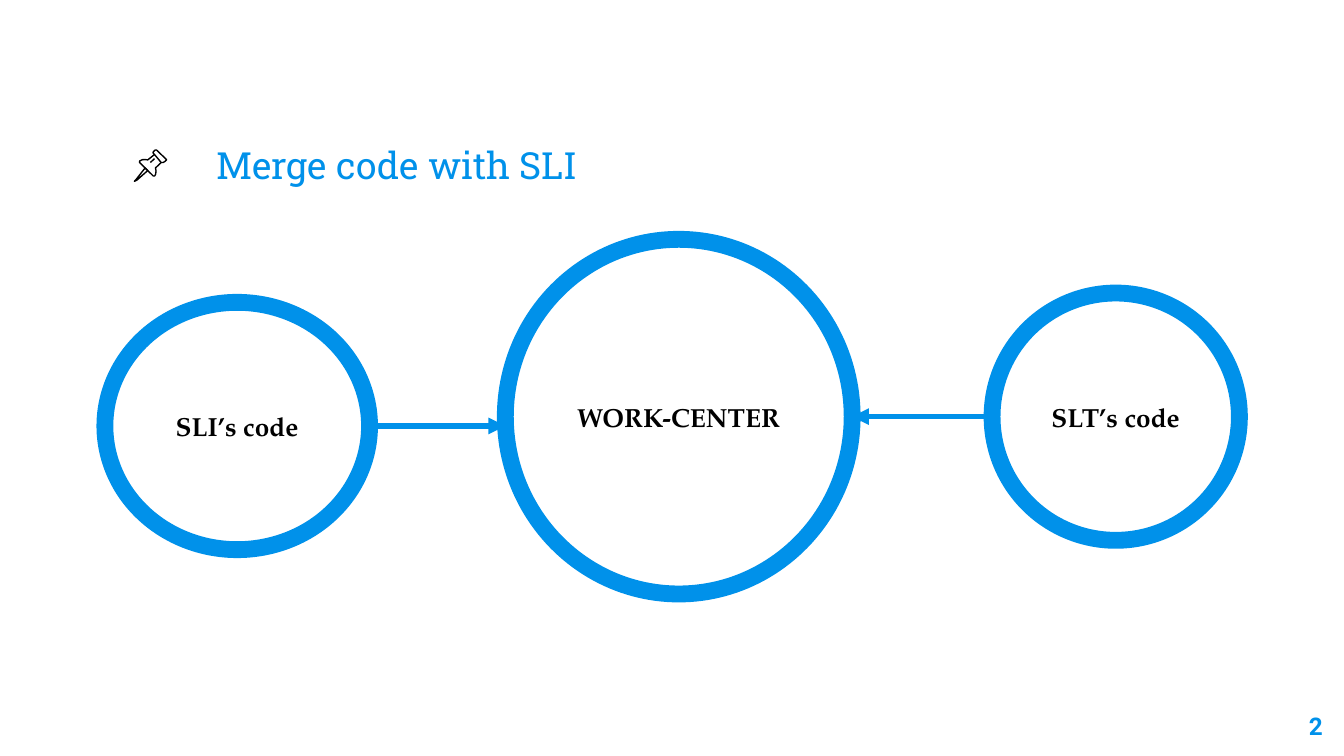
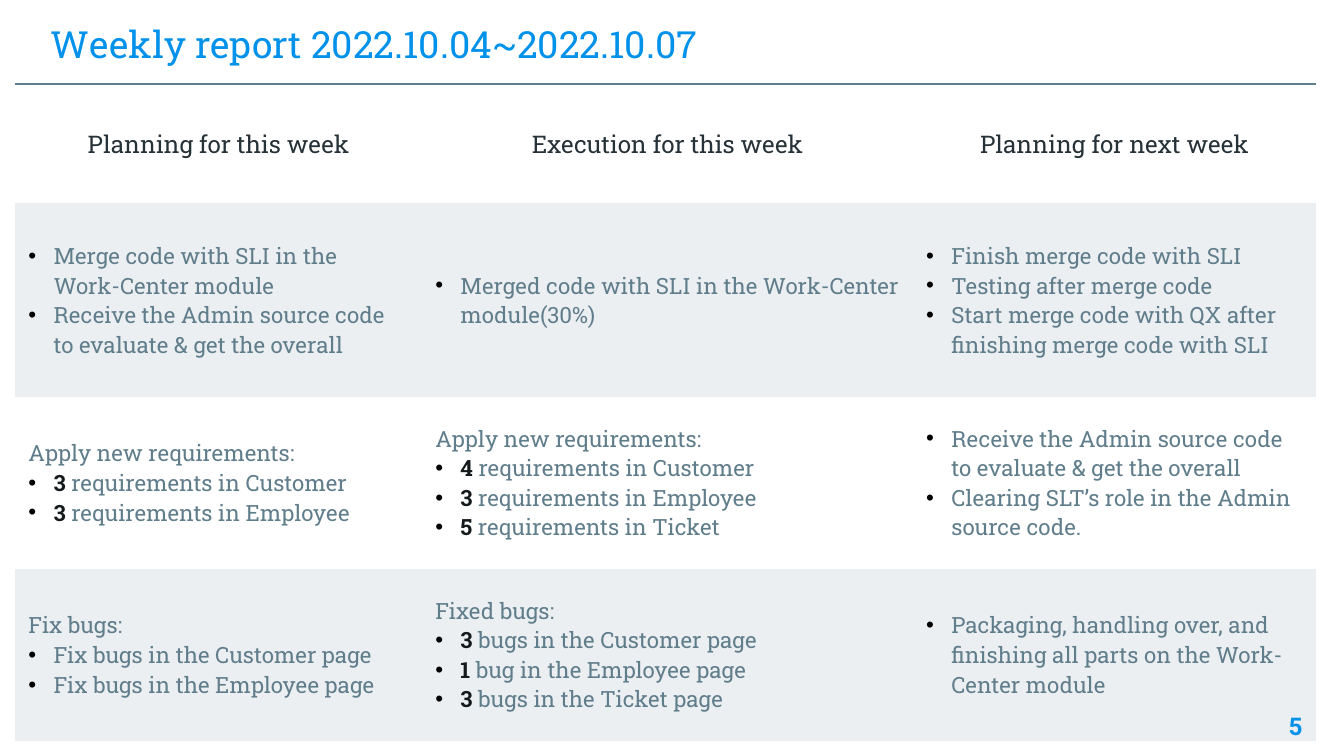
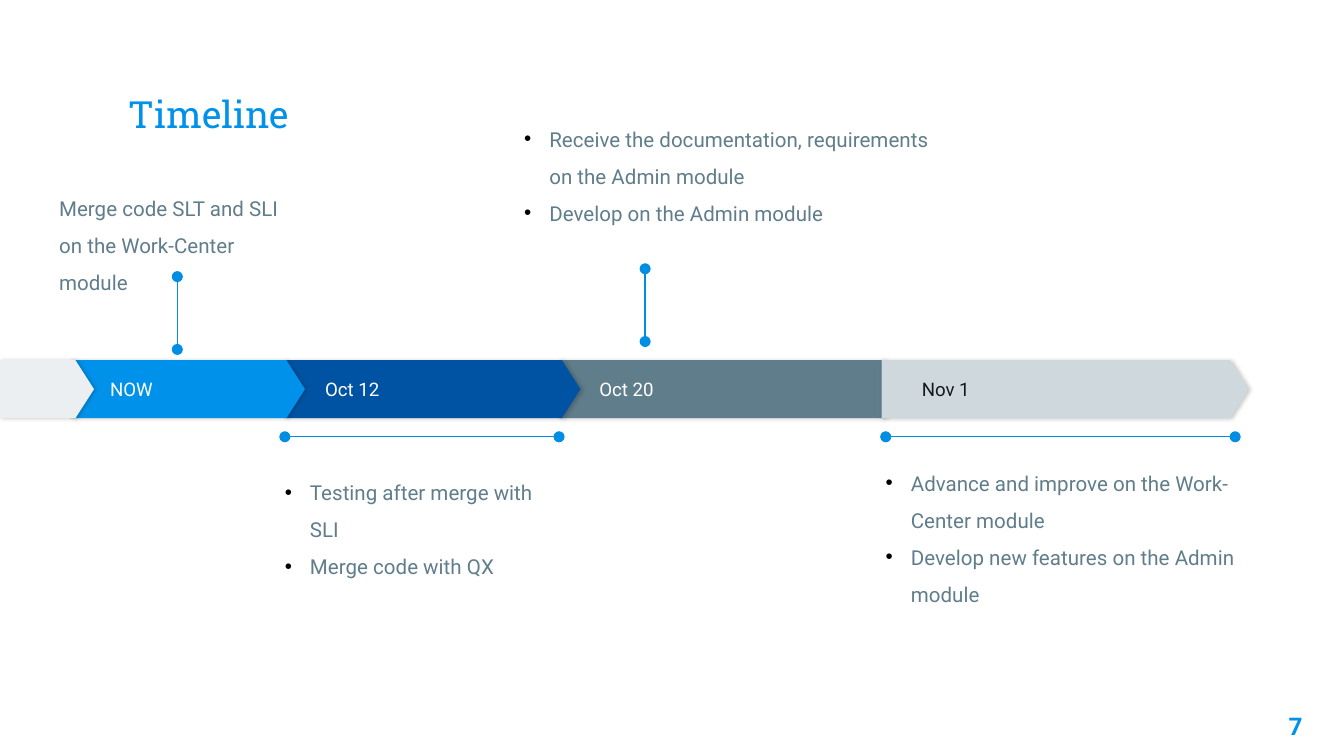
"""Build three project status slides: code merge, weekly report and timeline."""
from dataclasses import dataclass

import lxml.etree
import pptx
import pptx.dml.color
import pptx.enum.shapes
import pptx.enum.text
import pptx.oxml.ns
import pptx.util

Pt = pptx.util.Pt
qn = pptx.oxml.ns.qn
Shape = pptx.enum.shapes.MSO_SHAPE
Align = pptx.enum.text.PP_ALIGN
Anchor = pptx.enum.text.MSO_ANCHOR


@dataclass(frozen=True)
class Theme:
    """Colours, fonts and type sizes shared by all slides."""
    accent: str = "0091EA"
    marker: str = "008EE5"
    navy: str = "0053A3"
    slate: str = "607D8B"
    silver: str = "CFD8DC"
    pale: str = "ECEFF1"
    heading: str = "263238"
    ink: str = "14191B"
    black: str = "000000"
    white: str = "FFFFFF"
    slab: str = "Roboto Slab"
    sans: str = "Roboto"
    serif: str = "TeX Gyre Pagella"
    title_size: float = 20
    circle_size: float = 14
    header_size: float = 13
    cell_size: float = 12
    note_size: float = 11
    step_size: float = 10
    inset: float = 7.2
    indent: float = 13.5


THEME = Theme()
NO_GRID_STYLE = "{2D5ABB26-0587-4C30-8999-92F81FD0307C}"
BULLET = "• "


def rgb(color):
    """Turn a hex string into a colour object."""
    return pptx.dml.color.RGBColor.from_string(color)


def add_child(parent, tag, **attributes):
    """Append a drawing element with the given attributes."""
    child = lxml.etree.SubElement(parent, qn(tag))
    for name, value in attributes.items():
        child.set(name, str(value))
    return child


def add_color(parent, color):
    """Append a plain colour element."""
    return add_child(parent, "a:srgbClr", val=color)


def add_run(paragraph, text, font, size, color, bold=False):
    """Append one formatted run."""
    run = paragraph.add_run()
    run.text = text
    run.font.name = font
    run.font.size = Pt(size)
    run.font.bold = bold
    run.font.color.rgb = rgb(color)


def add_bullet(paragraph):
    """Give a paragraph a hanging black bullet."""
    properties = paragraph._p.get_or_add_pPr()
    properties.set("marL", str(Pt(THEME.indent)))
    properties.set("indent", str(-Pt(THEME.indent)))
    add_color(add_child(properties, "a:buClr"), THEME.black)
    add_child(properties, "a:buFont", typeface="Arial")
    add_child(properties, "a:buChar", char="•")


def fill_text(frame, lines, font, size, color, bold=False, align=Align.LEFT, spacing=None):
    """Write lines; a leading dot makes a bullet, a bar ends a bold count."""
    for index, line in enumerate(lines):
        paragraph = frame.paragraphs[0] if index == 0 else frame.add_paragraph()
        paragraph.alignment = align
        if spacing:
            paragraph.line_spacing = spacing
        if line.startswith(BULLET):
            add_bullet(paragraph)
        count, bar, rest = line.removeprefix(BULLET).partition("|")
        if bar:
            add_run(paragraph, count, font, size, THEME.ink, True)
            add_run(paragraph, rest, font, size, color, bold)
        else:
            add_run(paragraph, count, font, size, color, bold)


def set_frame(frame, anchor, left, top, right, bottom):
    """Set wrapping, anchor and insets of a text frame."""
    frame.word_wrap = True
    frame.vertical_anchor = anchor
    frame.margin_left, frame.margin_top = Pt(left), Pt(top)
    frame.margin_right, frame.margin_bottom = Pt(right), Pt(bottom)


def add_text(slide, box, lines, font, size, color, anchor=Anchor.TOP, inset=THEME.inset, **style):
    """Add a text box."""
    shape = slide.shapes.add_textbox(*map(Pt, box))
    set_frame(shape.text_frame, anchor, *[inset] * 4)
    fill_text(shape.text_frame, lines, font, size, color, **style)


def add_title(slide, box, text, anchor=Anchor.BOTTOM):
    """Add a slide title."""
    add_text(slide, box, [text], THEME.slab, THEME.title_size, THEME.accent, anchor)


def add_page_number(slide, number, left=661.7):
    """Add the page number at the lower right."""
    add_text(slide, (left, 373.7, 43.2, 31), [str(number)], THEME.sans, THEME.header_size,
             THEME.accent, bold=True, align=Align.RIGHT)


def add_note(slide, box, lines):
    """Add a loosely spaced timeline note."""
    add_text(slide, box, lines, THEME.sans, THEME.note_size, THEME.slate, inset=0, spacing=1.5)


def add_line(slide, start, end, color, width, head=None, tail=None):
    """Add a straight connector with optional end marks."""
    connector = slide.shapes.add_connector(pptx.enum.shapes.MSO_CONNECTOR.STRAIGHT,
                                           *map(Pt, start + end))
    connector.line.color.rgb = rgb(color)
    connector.line.width = Pt(width)
    outline = connector.line._get_or_add_ln()
    if head:
        add_child(outline, "a:headEnd", type=head)
    if tail:
        add_child(outline, "a:tailEnd", type=tail)
    add_child(connector._element.spPr, "a:effectLst")


def add_marker(slide, start, end):
    """Add a thin timeline marker with dots at both ends."""
    add_line(slide, start, end, THEME.marker, 0.75, "oval", "oval")


def add_circle(slide, box, text):
    """Add an outlined circle with a bold label."""
    shape = slide.shapes.add_shape(Shape.OVAL, *map(Pt, box))
    shape.shadow.inherit = False
    shape.fill.background()
    shape.line.color.rgb = rgb(THEME.accent)
    shape.line.width = Pt(9)
    set_frame(shape.text_frame, Anchor.MIDDLE, *[THEME.inset] * 4)
    fill_text(shape.text_frame, [text], THEME.serif, THEME.circle_size, THEME.black,
              bold=True, align=Align.CENTER)


def add_step(slide, left, width, fill, label=None, color=THEME.white):
    """Add one arrow of the timeline band with a soft shadow."""
    shape = slide.shapes.add_shape(Shape.PENTAGON, *map(Pt, (left, 193, width, 31)))
    shape.adjustments[0] = 0.32
    shape.fill.solid()
    shape.fill.fore_color.rgb = rgb(fill)
    shape.line.fill.background()
    effects = add_child(shape._element.spPr, "a:effectLst")
    shadow = add_child(effects, "a:outerShdw", blurRad=Pt(2.2), dist=Pt(0.8), dir=0,
                       algn="ctr", rotWithShape=0)
    add_child(add_color(shadow, THEME.black), "a:alpha", val=20000)
    if label:
        set_frame(shape.text_frame, Anchor.MIDDLE, 21.6, 0, 0, 0)
        fill_text(shape.text_frame, [label], THEME.sans, THEME.step_size, color)


def add_pin(slide):
    """Add the outlined pushpin icon as a group."""
    needle = [(77.8, 90), (72.7, 96.5), (72, 97.2), (73.4, 96.5), (79.2, 91.4)]
    head = [(82.8, 82.8), (86.4, 87.1), (87.5, 87.1), (88.6, 86.4), (89.3, 85.7),
            (89, 85.3), (83.9, 80.4), (83.2, 80.4), (82.1, 81.5), (82.1, 82.1)]
    body = [(82.8, 82.8), (79.2, 85.7), (77.8, 85.5), (76.3, 85.6), (74.9, 86.2),
            (74.7, 87), (82.1, 94.3), (82.9, 94.3), (83.4, 93.2), (83.6, 91.5),
            (83.3, 90), (86.4, 87.1)]
    glint = [(80.6, 87.1), (82.8, 85)]
    group = slide.shapes.add_group_shape()
    for points, closed in ((needle, True), (head, True), (body, False), (glint, False)):
        corners = [(Pt(x), Pt(y)) for x, y in points]
        builder = group.shapes.build_freeform(*corners[0])
        builder.add_line_segments(corners[1:], close=closed)
        shape = builder.convert_to_shape()
        shape.shadow.inherit = False
        shape.fill.background()
        shape.line.color.rgb = rgb(THEME.black)
        shape.line.width = Pt(0.75)


def add_top_border(cell):
    """Draw the rule above a header cell."""
    border = lxml.etree.Element(qn("a:lnT"), w=str(Pt(1.5)))
    add_color(add_child(border, "a:solidFill"), THEME.slate)
    cell._tc.get_or_add_tcPr().insert(0, border)


def add_report_table(slide, rows, widths, heights):
    """Add the report table with a ruled header and shaded odd rows."""
    box = (8, 45, sum(widths), sum(heights))
    table = slide.shapes.add_table(len(rows), len(widths), *map(Pt, box)).table
    table.first_row = table.horz_banding = False
    table._tbl.tblPr.find(qn("a:tableStyleId")).text = NO_GRID_STYLE
    for column, width in zip(table.columns, widths):
        column.width = Pt(width)
    for row_index, (row, height) in enumerate(zip(rows, heights)):
        table.rows[row_index].height = Pt(height)
        for column_index, lines in enumerate(row):
            cell = table.cell(row_index, column_index)
            cell.vertical_anchor = Anchor.MIDDLE
            cell.margin_left = cell.margin_right = Pt(THEME.inset)
            cell.margin_top = cell.margin_bottom = Pt(5.4)
            if row_index % 2:
                cell.fill.solid()
                cell.fill.fore_color.rgb = rgb(THEME.pale)
            else:
                cell.fill.background()
            if row_index == 0:
                add_top_border(cell)
                fill_text(cell.text_frame, lines, THEME.slab, THEME.header_size,
                          THEME.heading, align=Align.CENTER)
            else:
                fill_text(cell.text_frame, lines, THEME.slab, THEME.cell_size, THEME.slate)


def build_merge(slide):
    """Show two code bases flowing into the work center."""
    add_title(slide, (108.7, 70.6, 305.3, 34.6), "Merge code with SLI", Anchor.MIDDLE)
    add_pin(slide)
    add_circle(slide, (56.2, 162, 141.8, 132.5), "SLI’s code")
    add_circle(slide, (531.5, 157, 132.5, 132.5), "SLT’s code")
    add_circle(slide, (270.7, 128.2, 185.8, 190), "WORK-CENTER")
    add_line(slide, (198, 228.2), (270.7, 228.2), THEME.accent, 3, tail="triangle")
    add_line(slide, (531.5, 223.2), (456.5, 223.2), THEME.accent, 3, tail="triangle")
    add_page_number(slide, 2, 672.5)


def build_report(slide):
    """Show the weekly report table."""
    add_title(slide, (20.2, 7.9, 610.6, 34.6), "Weekly report 2022.10.04~2022.10.07")
    rows = [
        [["Planning for this week"], ["Execution for this week"], ["Planning for next week"]],
        [["• Merge code with SLI in the Work-Center module",
          "• Receive the Admin source code to evaluate & get the overall"],
         ["• Merged code with SLI in the Work-Center module(30%)"],
         ["• Finish merge code with SLI",
          "• Testing after merge code",
          "• Start merge code with QX after finishing merge code with SLI"]],
        [["Apply new requirements:",
          "• 3| requirements in Customer",
          "• 3| requirements in Employee"],
         ["Apply new requirements:",
          "• 4| requirements in Customer",
          "• 3| requirements in Employee",
          "• 5| requirements in Ticket"],
         ["• Receive the Admin source code to evaluate & get the overall",
          "• Clearing SLT’s role in the Admin source code."]],
        [["Fix bugs:",
          "• Fix bugs in the Customer page",
          "• Fix bugs in the Employee page"],
         ["Fixed bugs:",
          "• 3| bugs in the Customer page",
          "• 1| bug in the Employee page",
          "• 3| bugs in the Ticket page"],
         ["• Packaging, handling over, and finishing all parts on the Work-Center module"]],
    ]
    add_report_table(slide, rows, (218, 263, 216), (64, 103.5, 92.2, 92.2))
    add_page_number(slide, 5)


def build_timeline(slide):
    """Show the project timeline with its notes."""
    add_title(slide, (61.9, 24.5, 596.2, 55.4), "Timeline")
    add_page_number(slide, 7)
    add_step(slide, 299.5, 184.3, THEME.slate, "Oct 20")
    add_step(slide, 152.6, 158.4, THEME.navy, "Oct 12")
    add_step(slide, 37.4, 126, THEME.accent, "NOW")
    add_step(slide, 0, 50.4, THEME.pale)
    add_step(slide, 472.3, 196.6, THEME.silver, "Nov 1", THEME.ink)
    add_marker(slide, (299.5, 234), (152.6, 234))
    add_marker(slide, (661.7, 234), (474.5, 234))
    add_marker(slide, (345.6, 144), (345.6, 183))
    add_marker(slide, (95, 148.2), (95, 187.2))
    add_note(slide, (31.7, 98.6, 127.4, 45.4),
             ["Merge code SLT and SLI on the Work-Center module"])
    add_note(slide, (280.8, 61.2, 220.3, 82.8),
             ["• Receive the documentation, requirements on the Admin module",
              "• Develop on the Admin module"])
    add_note(slide, (474.5, 245.5, 208.8, 84.2),
             ["• Advance and improve on the Work-Center module",
              "• Develop new features on the Admin module"])
    add_note(slide, (152.6, 250.6, 146.9, 31),
             ["• Testing after merge with SLI", "• Merge code with QX"])


def main():
    """Build the presentation and save it."""
    presentation = pptx.Presentation()
    presentation.slide_width, presentation.slide_height = Pt(720), Pt(405)
    for build in (build_merge, build_report, build_timeline):
        build(presentation.slides.add_slide(presentation.slide_layouts[6]))
    presentation.save("out.pptx")


main()
